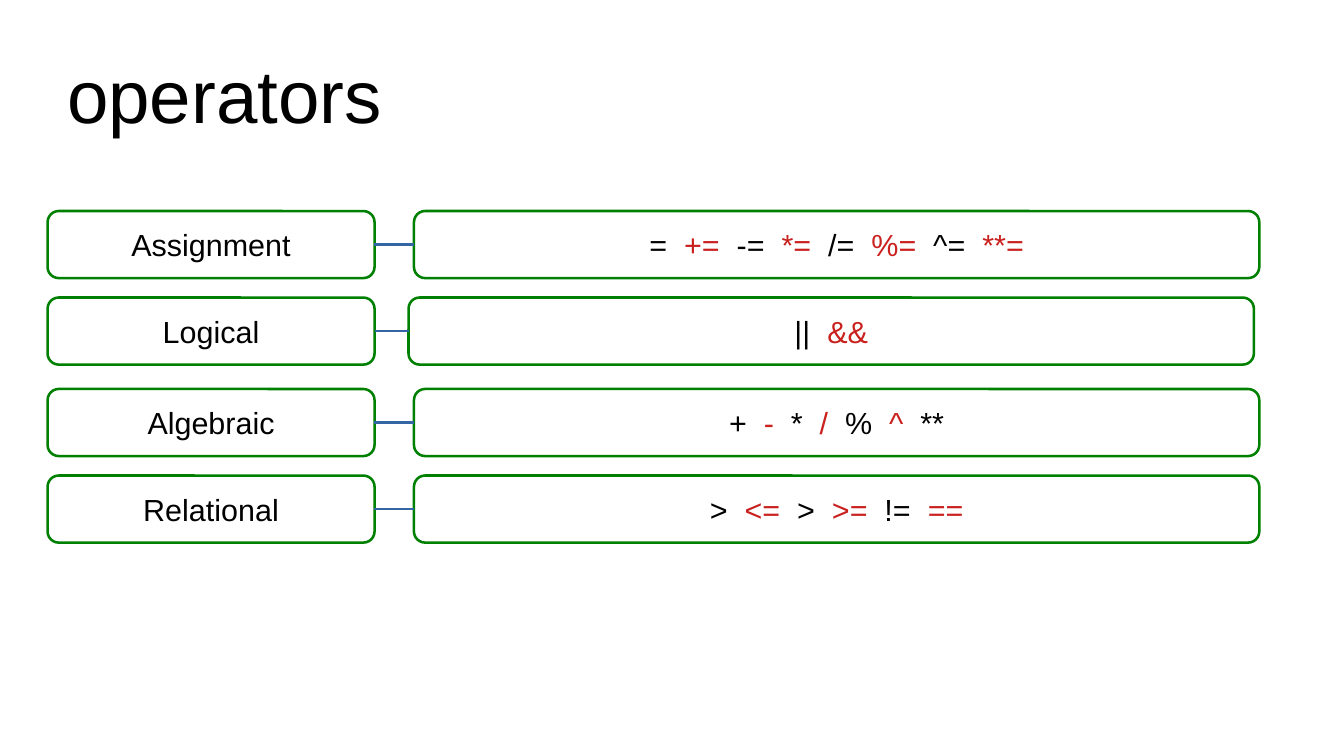
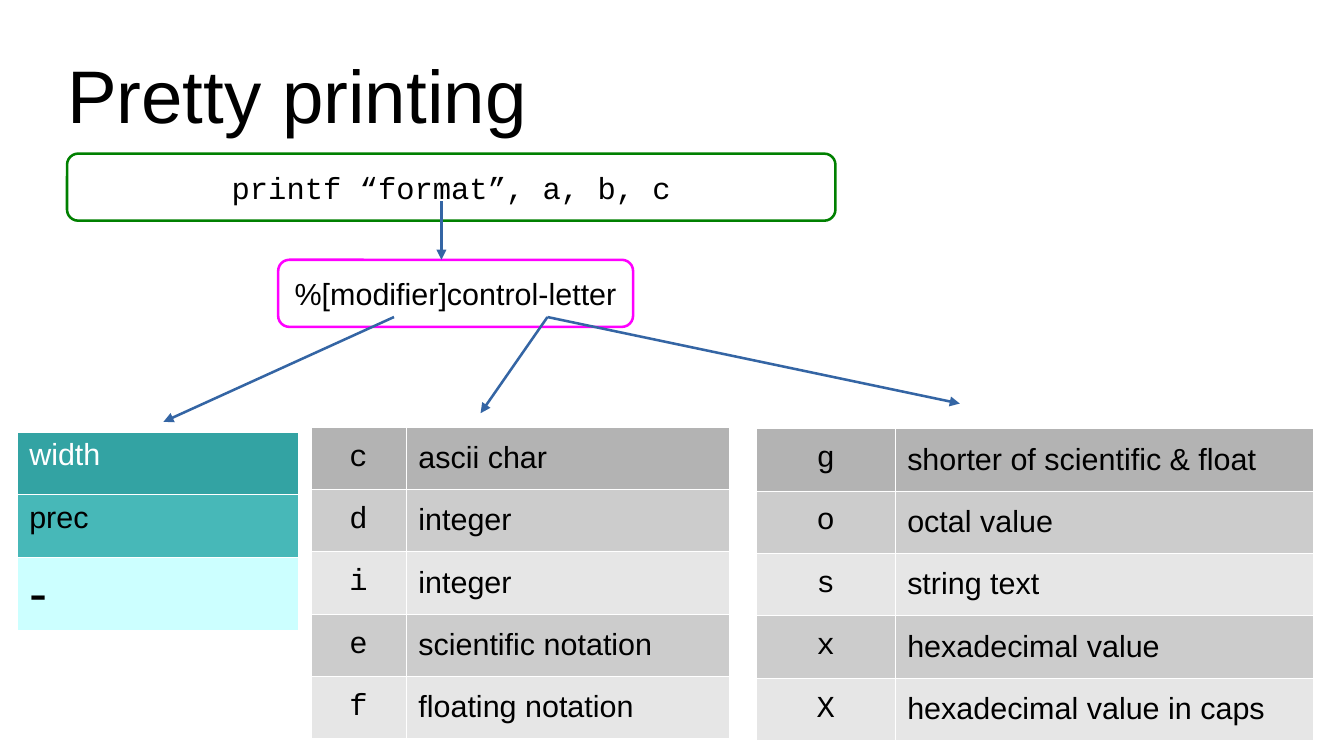
from dataclasses import dataclass
from itertools import accumulate
from typing import Any, NamedTuple

from lxml import etree
from pptx import Presentation
from pptx import util as u
from pptx.dml import color
from pptx.enum import shapes, text
from pptx.oxml import ns

Pt = u.Pt
SANS, MONO = "Arial", "Courier New"
BLACK, WHITE, RED = "000000", "FFFFFF", "C9211E"
GREEN, PINK, BLUE = "008000", "FF00FF", "3465A4"
GREYS = ["B3B3B3", "CCCCCC", "E6E6E6", "CCCCCC", "E6E6E6"]
LINE_WIDTH = 1.5
BOX_H = 39.6
ROW_H = 36.85
MIDDLE = text.MSO_ANCHOR.MIDDLE
LEFT, CENTER = text.PP_ALIGN.LEFT, text.PP_ALIGN.CENTER

TITLE_PLACE = dict(left=Pt(39.6), top=Pt(18), width=Pt(714.2), height=Pt(74.9))
TITLE_FRAME = dict(margin_left=0, margin_top=0, margin_right=0, margin_bottom=0,
                   vertical_anchor=MIDDLE, word_wrap=True,
                   auto_size=text.MSO_AUTO_SIZE.NONE)
BOX_FRAME = dict(margin_left=Pt(7.9), margin_right=Pt(7.9), margin_top=Pt(4.3),
                 margin_bottom=Pt(4.3), vertical_anchor=MIDDLE, word_wrap=False)
CELL_MARGINS = dict(margin_left=Pt(7.2), margin_right=Pt(7.2),
                    margin_top=Pt(3.6), margin_bottom=Pt(3.6))
PLAIN_TABLE = dict(first_row=False, horz_banding=False)


class Run(NamedTuple):
    text: str
    color: str = BLACK
    font: str = SANS
    size: float = 18


@dataclass
class Box:
    left: float
    top: float
    width: float
    runs: list[Run]
    line: str = GREEN


@dataclass
class OperatorRow:
    name: str
    operators: str
    top: float
    left: float = 244.4


@dataclass
class Arrow:
    x1: float
    y1: float
    x2: float
    y2: float


@dataclass
class Cell:
    run: Run
    fill: str
    align: Any = LEFT
    anchor: Any = MIDDLE


@dataclass
class Grid:
    left: float
    top: float
    widths: list[float]
    heights: list[float]
    rows: list[list[Cell]]


def rgb(value: str) -> color.RGBColor:
    return color.RGBColor.from_string(value)


def assign(target: Any, values: dict[str, Any]) -> None:
    for name, value in values.items():
        setattr(target, name, value)


def write(p: Any, runs: list[Run], align: Any) -> None:
    p.alignment = align
    for run in runs:
        r = p.add_run()
        r.text = run.text
        assign(r.font, dict(name=run.font, size=Pt(run.size), bold=False))
        r.font.color.rgb = rgb(run.color)


def add_titled_slide(prs: Any, title: str) -> Any:
    s = prs.slides.add_slide(prs.slide_layouts.get_by_name("Title Only"))
    sp = s.shapes.title
    assign(sp, TITLE_PLACE)
    assign(sp.text_frame, TITLE_FRAME)
    write(sp.text_frame.paragraphs[0], [Run(title, size=44)], LEFT)
    return s


def add_box(s: Any, box: Box) -> Any:
    sp = s.shapes.add_shape(shapes.MSO_SHAPE.ROUNDED_RECTANGLE, Pt(box.left),
                            Pt(box.top), Pt(box.width), Pt(BOX_H))
    sp.shadow.inherit = False
    sp.fill.background()
    sp.line.color.rgb = rgb(box.line)
    sp.line.width = Pt(LINE_WIDTH)
    tf = sp.text_frame
    assign(tf, BOX_FRAME)
    write(tf.paragraphs[0], box.runs, CENTER)
    return sp


def add_line(s: Any, kind: Any, ends: Arrow) -> Any:
    line = s.shapes.add_connector(kind, Pt(ends.x1), Pt(ends.y1),
                                  Pt(ends.x2), Pt(ends.y2))
    line.line.color.rgb = rgb(BLUE)
    line.line.width = Pt(LINE_WIDTH)
    etree.SubElement(line._element.spPr, ns.qn("a:effectLst"))
    return line


def add_arrow(s: Any, arrow: Arrow) -> None:
    line = add_line(s, shapes.MSO_CONNECTOR.STRAIGHT, arrow)
    etree.SubElement(line.line._get_or_add_ln(), ns.qn("a:tailEnd"), type="triangle")


def add_borders(cell: Any) -> None:
    tc_pr = cell._tc.get_or_add_tcPr()
    for side in ("lnL", "lnR", "lnT", "lnB"):
        ln = etree.SubElement(tc_pr, ns.qn(f"a:{side}"), w="720")
        fill = etree.SubElement(ln, ns.qn("a:solidFill"))
        etree.SubElement(fill, ns.qn("a:srgbClr"), val=WHITE)


def add_grid(s: Any, grid: Grid) -> None:
    frame = s.shapes.add_table(len(grid.heights), len(grid.widths),
                               Pt(grid.left), Pt(grid.top),
                               Pt(sum(grid.widths)), Pt(sum(grid.heights)))
    table = frame.table
    assign(table, PLAIN_TABLE)
    for column, width in zip(table.columns, grid.widths):
        column.width = Pt(width)
    for row, height, cells in zip(table.rows, grid.heights, grid.rows):
        row.height = Pt(height)
        for target, cell in zip(row.cells, cells):
            add_borders(target)
            target.fill.solid()
            target.fill.fore_color.rgb = rgb(cell.fill)
            assign(target, CELL_MARGINS)
            target.vertical_anchor = cell.anchor
            write(target.text_frame.paragraphs[0], [cell.run], cell.align)


def alternating_runs(operators: str) -> list[Run]:
    items = operators.split()
    last = len(items) - 1
    runs = []
    for i, item in enumerate(items):
        if i % 2:
            runs.append(Run(item, RED))
        else:
            before = "  " if i else ""
            after = "  " if i < last else ""
            runs.append(Run(before + item + after))
    return runs


def letter_grid(left: float, top: float, widths: list[float],
                meanings: dict[str, str]) -> Grid:
    rows = [[Cell(Run(letter, font=MONO), fill, CENTER), Cell(Run(meaning), fill)]
            for (letter, meaning), fill in zip(meanings.items(), GREYS)]
    return Grid(left, top, widths, [ROW_H] * len(rows), rows)


def operators_slide(prs: Any) -> None:
    s = add_titled_slide(prs, "operators")
    tops = accumulate([124.6, 51.1, 54, 51.1])
    rows = [OperatorRow(name, operators, top) for (name, operators), top in zip([
        ("Assignment", "= += -= *= /= %= ^= **="),
        ("Logical", "|| &&"),
        ("Algebraic", "+ - * / % ^ **"),
        ("Relational", "> <= > >= != =="),
    ], tops)]
    rows[1].left = 241.2
    for row in rows:
        label = Box(28.1, row.top, 193, [Run(row.name)])
        values = Box(row.left, row.top, 499, alternating_runs(row.operators))
        start, end = add_box(s, label), add_box(s, values)
        middle = row.top + BOX_H / 2
        line = add_line(s, shapes.MSO_CONNECTOR.CURVE,
                        Arrow(label.left + label.width, middle, row.left, middle))
        line.begin_connect(start, 3)
        line.end_connect(end, 1)


def printing_slide(prs: Any) -> None:
    s = add_titled_slide(prs, "Pretty printing")
    add_box(s, Box(39.6, 90.7, 453.6, [Run("printf “format”, a, b, c", font=MONO)]))
    add_box(s, Box(164.2, 153.4, 209.5, [Run("%[modifier]control-letter")], PINK))
    top_left = text.MSO_ANCHOR.TOP
    modifiers = [
        [Cell(Run("width", WHITE), "33A3A3", anchor=top_left)],
        [Cell(Run("prec"), "47B8B8", anchor=top_left)],
        [Cell(Run("-", size=32), "CCFFFF", anchor=top_left)],
    ]
    grids = [
        letter_grid(183.6, 252, [56.2, 190.4], {
            "c": "ascii char", "d": "integer", "i": "integer",
            "e": "scientific notation", "f": "floating notation"}),
        letter_grid(446.4, 252.9, [82, 247], {
            "g": "shorter of scientific & float", "o": "octal value",
            "s": "string text", "x": "hexadecimal value",
            "X": "hexadecimal value in caps"}),
        Grid(10.1, 255.2, [166], [ROW_H, ROW_H, 43.2], modifiers),
    ]
    for grid in grids:
        add_grid(s, grid)
    for arrow in [
        Arrow(260.6, 118.8, 260.6, 153.4),
        Arrow(323.2, 187.2, 283.7, 244),
        Arrow(323.2, 187.2, 566.6, 238.3),
        Arrow(232.6, 187.2, 96.5, 249.1),
    ]:
        add_arrow(s, arrow)


def main() -> None:
    prs = Presentation()
    assign(prs, dict(slide_width=Pt(793.4), slide_height=Pt(446.4)))
    operators_slide(prs)
    printing_slide(prs)
    prs.save("out.pptx")


if __name__ == "__main__":
    main()
